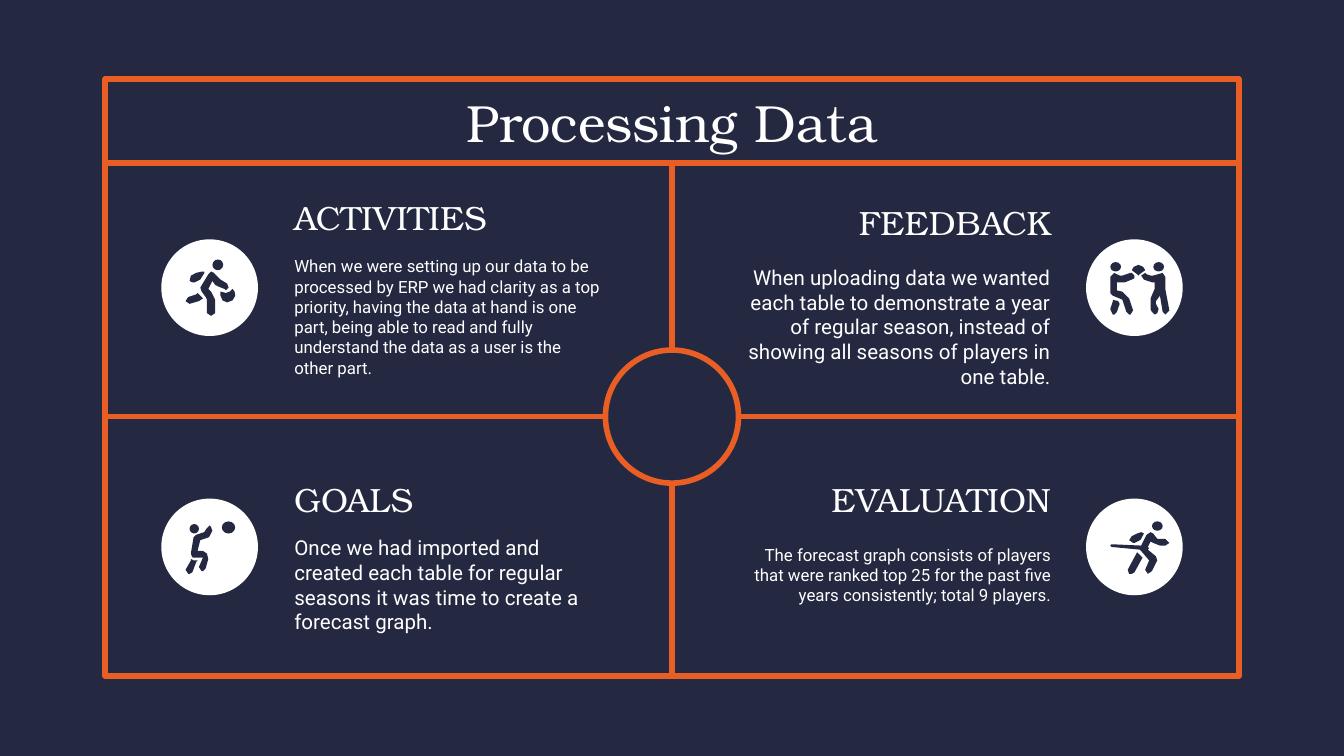
from dataclasses import dataclass

from lxml import etree
from pptx import Presentation
from pptx import util as u
from pptx.dml.color import RGBColor
from pptx.enum import shapes, text
from pptx.oxml import ns

NAVY = RGBColor(0x24, 0x28, 0x41)
ORANGE = RGBColor(0xE9, 0x5E, 0x24)
WHITE = RGBColor(0xFF, 0xFF, 0xFF)
SERIF = "TeX Gyre Bonum"
SANS = "Roboto"
LEFT, CENTER, RIGHT = text.PP_ALIGN.LEFT, text.PP_ALIGN.CENTER, text.PP_ALIGN.RIGHT

FRAME_LEFT, FRAME_TOP, FRAME_WIDTH, FRAME_HEIGHT = 56.2, 42.5, 607.6, 319.7
FRAME_RIGHT, FRAME_BOTTOM = FRAME_LEFT + FRAME_WIDTH, FRAME_TOP + FRAME_HEIGHT
TITLE_HEIGHT = 45
HUB_X, HUB_Y, HUB_SIZE = 360, 223.2, 71.3
COLUMN_WIDTH, HEADING_HEIGHT, BODY_HEIGHT = 178.6, 41, 50.4
BADGE_SIZE = 51.8
ICON_UNIT = 0.72
ICON_INSET_X, ICON_INSET_Y = 13, 10.8


@dataclass(frozen=True)
class Icon:
    circles: tuple
    outlines: tuple


@dataclass(frozen=True)
class Quadrant:
    heading: str
    body: str
    size: float
    align: text.PP_ALIGN
    column_left: float
    heading_top: float
    body_top: float
    badge_left: float
    badge_top: float
    icon: Icon


RUNNER = Icon(
    ((20, 0, 8, 8),),
    (
        ((19, 9), (17, 11), (11, 21), (12, 24), (15, 28), (16, 30), (16, 40), (19, 42),
         (22, 40), (22, 30), (19, 24), (17, 22), (20, 16), (22, 19), (24, 20), (29, 22),
         (30, 23), (32, 21), (31, 18), (26, 15), (21, 10)),
        ((12, 9), (8, 10), (4, 12), (3, 16), (5, 17), (7, 17), (11, 15), (14, 10), (14, 9)),
        ((9, 25), (8, 26), (2, 28), (0, 31), (3, 33), (10, 31), (13, 29), (10, 26)),
        ((35, 22), (33, 24), (30, 25), (26, 24), (26, 27), (27.5, 30.5), (31, 32), (35, 30.5),
         (37, 27), (36.5, 24)),
    ),
)
OPPONENTS = Icon(
    ((0, 2, 8, 7), (32, 2, 8, 7)),
    (
        ((3, 10), (0, 13), (0, 25), (2, 27), (7, 29), (9, 30), (12, 39), (14, 41), (15, 41),
         (17, 38), (14, 29), (9, 24), (5, 23), (5, 17), (8, 17), (11, 17), (16, 15), (18, 14),
         (18, 12), (16, 10), (15, 10), (9, 12), (7, 12)),
        ((26, 10), (23, 12), (25, 15), (28, 16), (31, 17), (33, 17), (33, 22), (30, 29),
         (30, 37), (31, 39), (33, 41), (35, 40), (36, 37), (34, 33), (34, 31), (37, 27),
         (39, 39), (41, 41), (44, 38), (41, 22), (41, 13), (39, 10), (32, 12), (30, 12), (27, 11)),
        ((21, 4), (17.5, 5.5), (16, 8), (20, 11), (21, 12), (22, 11), (26, 8), (24.5, 5.5)),
        ((2, 30), (2, 31), (0, 37), (2, 41), (3, 41), (5, 39), (7, 33), (6, 31)),
    ),
)
SHOOTER = Icon(
    ((3, 4, 7, 7), (27, 2, 10, 9)),
    (
        ((18, 5), (16, 7), (14, 10), (8, 12), (6, 14), (4, 26), (5, 28.5), (6, 29), (13, 29),
         (10, 36), (12, 39), (13, 39), (15, 37), (17, 30), (16, 26), (13, 24), (9, 24),
         (11, 16), (17, 14), (18, 13), (20, 9), (19, 6)),
        ((4, 30), (4, 31), (0, 38), (2, 41), (3, 41), (5, 40), (8, 32), (9, 31), (6, 31)),
    ),
)
PULLER = Icon(
    ((31, 2, 8, 7),),
    (
        ((30, 10), (27, 12), (23, 20), (1, 19), (0, 20), (1, 21), (22, 23), (23, 24), (29, 31),
         (26, 38), (28, 41), (31, 39), (35, 31), (34, 28), (28, 23), (29, 22), (28, 21),
         (30, 17), (32, 18), (37, 20), (41, 20), (44, 18), (41, 15), (35, 15), (32, 11)),
        ((20, 25), (13, 38), (14, 41), (16, 41), (18, 40), (24, 29), (21, 26)),
        ((23, 10), (20, 11), (16, 13), (14, 16), (17, 18), (18, 18), (22, 16), (23, 15), (25, 11)),
    ),
)

QUADRANTS = (
    Quadrant(
        "ACTIVITIES",
        "When we were setting up our data to be processed by ERP we had clarity as a top "
        "priority, having the data at hand is one part, being able to read and fully "
        "understand the data as a user is the other part.",
        9, LEFT, 150.5, 95.8, 144.5, 86.4, 128.2, RUNNER,
    ),
    Quadrant(
        "FEEDBACK",
        "When uploading data we wanted each table to demonstrate a year of regular season, "
        "instead of showing all seasons of players in one table.",
        11, RIGHT, 391.4, 98.6, 149.8, 581.8, 128.2, OPPONENTS,
    ),
    Quadrant(
        "GOALS",
        "Once we had imported and created each table for regular seasons it was time to "
        "create a forecast graph.",
        11, LEFT, 150.5, 247, 288, 86.4, 267.1, SHOOTER,
    ),
    Quadrant(
        "EVALUATION",
        "The forecast graph consists of players that were ranked top 25 for the past five "
        "years consistently; total 9 players.",
        9, RIGHT, 391.4, 247, 282.7, 581.8, 267.1, PULLER,
    ),
)


def place(box, left: float, top: float, width: float, height: float) -> None:
    box.left, box.top, box.width, box.height = map(u.Pt, (left, top, width, height))


def write(box, words: str, size: float, font: str, align: text.PP_ALIGN) -> None:
    frame = box.text_frame
    frame.text = words
    frame.word_wrap = True
    frame.auto_size = text.MSO_AUTO_SIZE.NONE
    frame.vertical_anchor = text.MSO_ANCHOR.MIDDLE
    frame.margin_left = frame.margin_right = u.Pt(7.2)
    frame.margin_top = frame.margin_bottom = u.Pt(7.2)
    para = frame.paragraphs[0]
    para.alignment = align
    para.space_before = u.Pt(0)
    para.font.name, para.font.size, para.font.bold = font, u.Pt(size), False
    para.font.color.rgb = WHITE


def remove_bullet(box) -> None:
    properties = box.text_frame.paragraphs[0]._p.get_or_add_pPr()
    properties.set("marL", "0")
    properties.set("indent", "0")
    etree.SubElement(properties, ns.qn("a:buNone")).tail = None
    defaults = properties.find(ns.qn("a:defRPr"))
    if defaults is not None:
        properties.append(defaults)


def paint(shape, fill: RGBColor | None, line: RGBColor | None = None) -> None:
    shape.shadow.inherit = False
    if fill is None:
        shape.fill.background()
    else:
        shape.fill.solid()
        shape.fill.fore_color.rgb = fill
    if line is None:
        shape.line.fill.background()
    else:
        shape.line.color.rgb = line
        shape.line.width = u.Pt(3)


def add_preset(page, kind, left: float, top: float, width: float, height: float,
               fill: RGBColor | None, line: RGBColor | None = None) -> None:
    shape = page.shapes.add_shape(kind, *map(u.Pt, (left, top, width, height)))
    paint(shape, fill, line)


def add_rule(page, x1: float, y1: float, x2: float, y2: float) -> None:
    rule = page.shapes.add_connector(shapes.MSO_CONNECTOR.STRAIGHT, *map(u.Pt, (x1, y1, x2, y2)))
    rule.line.color.rgb = ORANGE
    rule.line.width = u.Pt(3)
    etree.SubElement(rule._element.spPr, ns.qn("a:effectLst"))


def add_icon(page, icon: Icon, left: float, top: float) -> None:
    for x, y, width, height in icon.circles:
        add_preset(page, shapes.MSO_SHAPE.OVAL, left + x * ICON_UNIT, top + y * ICON_UNIT,
                   width * ICON_UNIT, height * ICON_UNIT, NAVY)
    for outline in icon.outlines:
        points = [(u.Pt(left + x * ICON_UNIT), u.Pt(top + y * ICON_UNIT)) for x, y in outline]
        builder = page.shapes.build_freeform(*points[0])
        builder.add_line_segments(points[1:], close=True)
        paint(builder.convert_to_shape(), NAVY)


def add_quadrant(page, quadrant: Quadrant, body) -> None:
    place(body, quadrant.column_left, quadrant.body_top, COLUMN_WIDTH, BODY_HEIGHT)
    write(body, quadrant.body, quadrant.size, SANS, quadrant.align)
    remove_bullet(body)
    heading = page.shapes.add_textbox(0, 0, 0, 0)
    place(heading, quadrant.column_left, quadrant.heading_top, COLUMN_WIDTH, HEADING_HEIGHT)
    write(heading, quadrant.heading, 18, SERIF, quadrant.align)
    left, top = quadrant.badge_left, quadrant.badge_top
    add_preset(page, shapes.MSO_SHAPE.OVAL, left, top, BADGE_SIZE, BADGE_SIZE, WHITE)
    add_icon(page, quadrant.icon, left + ICON_INSET_X, top + ICON_INSET_Y)


def main() -> None:
    deck = Presentation()
    deck.slide_width, deck.slide_height = u.Pt(720), u.Pt(405)
    page = deck.slides.add_slide(deck.slide_layouts.get_by_name("Comparison"))
    page.background.fill.solid()
    page.background.fill.fore_color.rgb = NAVY

    title, *bodies = list(page.placeholders)[:5]
    place(title, FRAME_LEFT, FRAME_TOP, FRAME_WIDTH, TITLE_HEIGHT)
    write(title, "Processing Data", 28, SERIF, CENTER)

    add_preset(page, shapes.MSO_SHAPE.RECTANGLE, FRAME_LEFT, FRAME_TOP,
               FRAME_WIDTH, FRAME_HEIGHT, None, ORANGE)
    divider = FRAME_TOP + TITLE_HEIGHT
    add_rule(page, FRAME_LEFT, divider, FRAME_RIGHT, divider)
    add_rule(page, HUB_X, FRAME_BOTTOM, HUB_X, divider)
    add_rule(page, FRAME_RIGHT, HUB_Y, FRAME_LEFT, HUB_Y)
    add_preset(page, shapes.MSO_SHAPE.OVAL, HUB_X - HUB_SIZE / 2, HUB_Y - HUB_SIZE / 2,
               HUB_SIZE, HUB_SIZE, NAVY, ORANGE)
    for quadrant, body in zip(QUADRANTS, bodies):
        add_quadrant(page, quadrant, body)
    deck.save("out.pptx")


if __name__ == "__main__":
    main()
